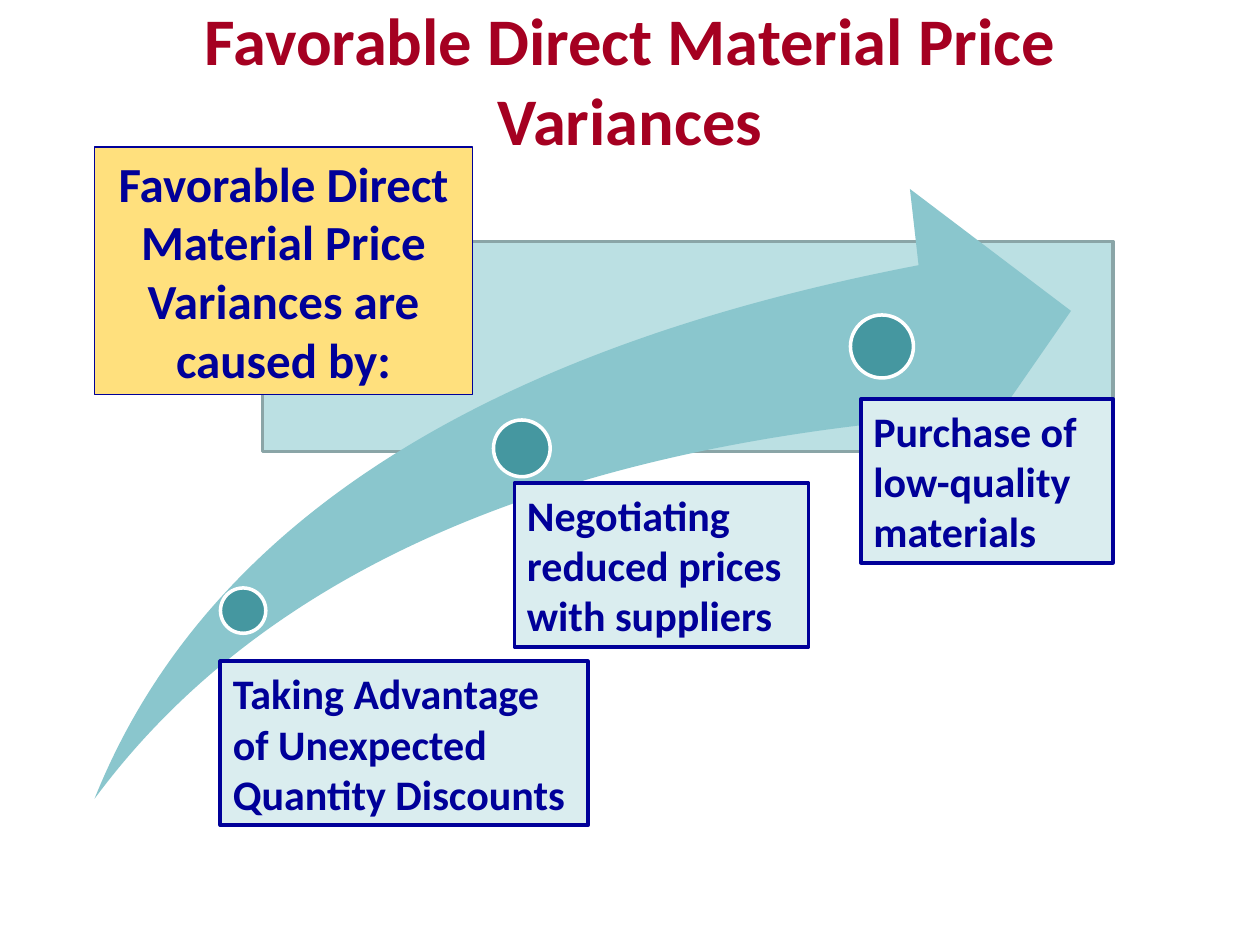
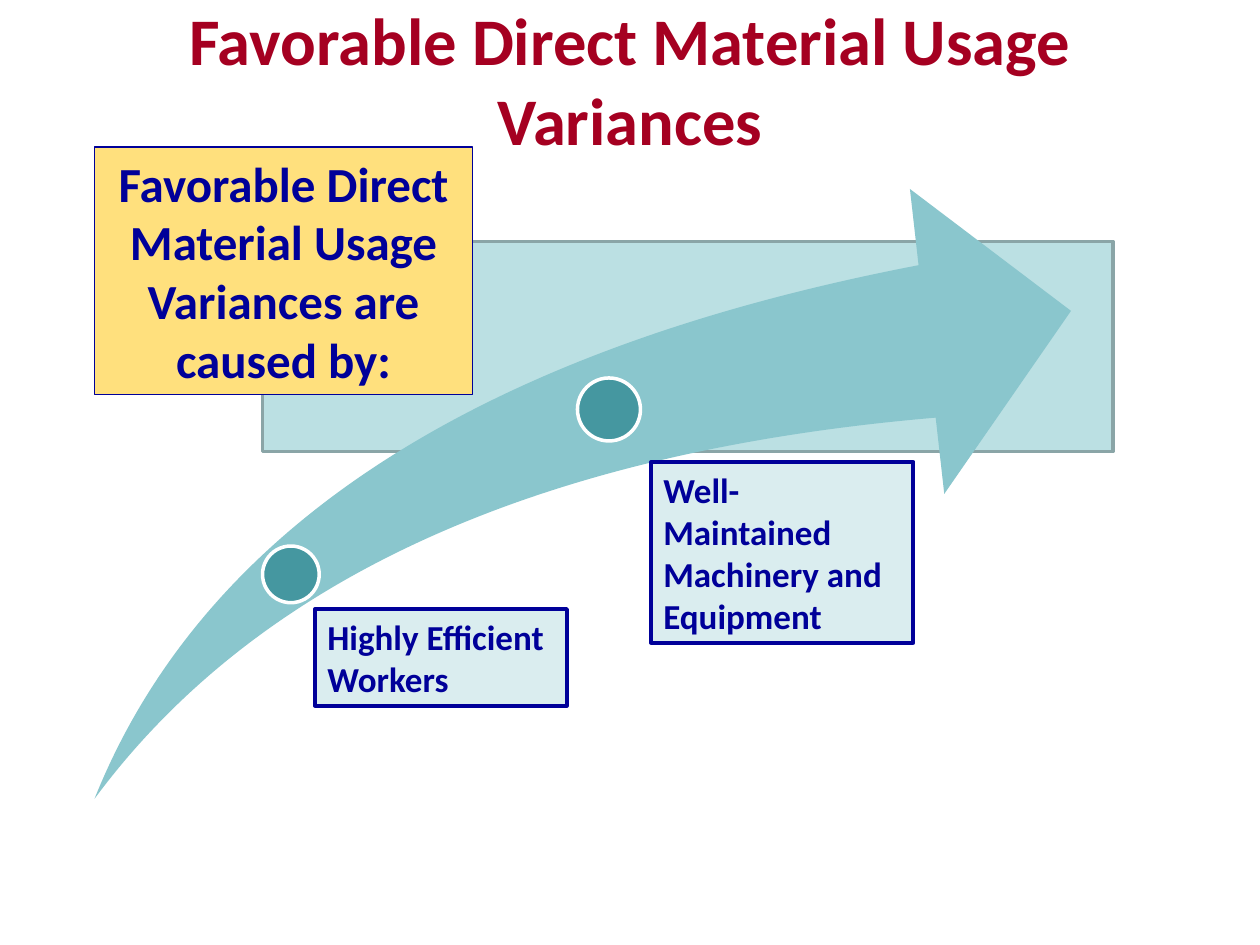
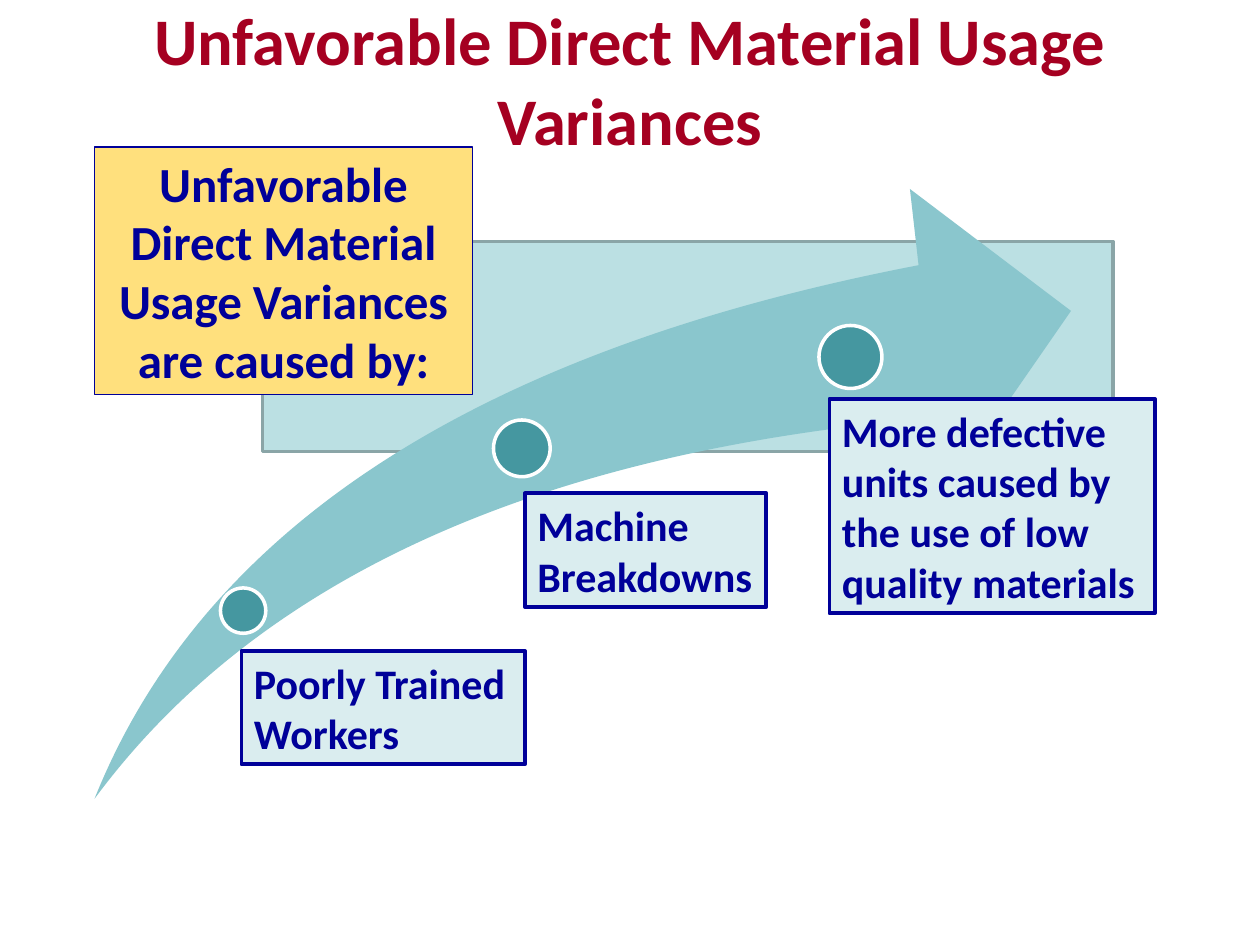
from pptx import Presentation
from pptx.dml.color import RGBColor
from pptx.enum.shapes import MSO_SHAPE
from pptx.enum.text import MSO_ANCHOR, MSO_AUTO_SIZE, PP_ALIGN
from pptx.util import Inches, Pt

RECT, OVAL, SWOOSH = MSO_SHAPE.RECTANGLE, MSO_SHAPE.OVAL, MSO_SHAPE.SWOOSH_ARROW
LEFT, CENTER = PP_ALIGN.LEFT, PP_ALIGN.CENTER
TOP, MIDDLE = MSO_ANCHOR.TOP, MSO_ANCHOR.MIDDLE
NO_FIT, GROW = MSO_AUTO_SIZE.NONE, MSO_AUTO_SIZE.SHAPE_TO_FIT_TEXT

COLORS = {
    "title": "A50021", "ink": "000099", "white": "FFFFFF",
    "band": "BBE0E3", "band edge": "8AA5A7", "arrow": "8AC6CD",
    "dot": "4597A0", "cause": "DAEDEF", "heading": "FFE07D",
}
FONT = "Calibri"
CELL = Inches(1) // 12  # the slide is 120 columns by 90 rows
TITLE_ONLY = 5
SMALL, MEDIUM, LARGE = 4.32, 5.4, 6  # dot diameters in columns


def color(name):
    return RGBColor.from_string(COLORS[name])


def cells(*lengths):
    return [round(length * CELL) for length in lengths]


class Deck:
    def __init__(self):
        self.presentation = Presentation()
        self.presentation.slide_width, self.presentation.slide_height = cells(120, 90)
        self.slide = None

    def add_slide(self, title):
        layout = self.presentation.slide_layouts[TITLE_ONLY]
        self.slide = self.presentation.slides.add_slide(layout)
        self.slide.background.fill.solid()
        self.slide.background.fill.fore_color.rgb = color("white")
        heading = self.slide.shapes.title
        heading.left, heading.top, heading.width, heading.height = cells(5, 0, 110, 15)
        self.set_text(heading, title, 38, "title", CENTER, MIDDLE, NO_FIT)

    def set_text(self, shape, text, size, ink, align, anchor, fit):
        frame = shape.text_frame
        frame.text = text
        frame.word_wrap = True
        frame.auto_size = fit
        frame.vertical_anchor = anchor
        for paragraph in frame.paragraphs:
            paragraph.alignment = align
            for run in paragraph.runs:
                run.font.name, run.font.size, run.font.bold = FONT, Pt(size), True
                run.font.color.rgb = color(ink)

    def shape(self, kind, box, fill, edge=None, edge_width=2):
        shape = self.slide.shapes.add_shape(kind, *cells(*box))
        shape.shadow.inherit = False
        shape.fill.solid()
        shape.fill.fore_color.rgb = color(fill)
        if edge:
            shape.line.color.rgb = color(edge)
            shape.line.width = Pt(edge_width)
        else:
            shape.line.fill.background()
        return shape

    def rising_arrow(self):
        self.shape(RECT, (25, 23, 81, 20), "band", "band edge")
        arrow = self.shape(SWOOSH, (9, 18, 93, 58.08), "arrow")
        arrow.adjustments[0] = arrow.adjustments[1] = 0.25

    def dot(self, column, row, diameter):
        self.shape(OVAL, (column, row, diameter, diameter), "dot", "white")

    def text_box(self, text, column, row, width, lines, size, fill, edge_width, align):
        """Add a bordered box whose height follows from its lines of text."""
        height = 1.2 + lines * size / 5
        box = self.shape(RECT, (column, row, width, height), fill, "ink", edge_width)
        self.set_text(box, text, size, "ink", align, TOP, GROW)

    def heading(self, text):
        self.text_box(text, 9, 14, 36, 4, 28, "heading", 0.75, CENTER)

    def cause(self, text, column, row, width, lines, size):
        self.text_box(text, column, row, width, lines, size, "cause", 2.25, LEFT)


# Per slide: variance name, text size, and causes as
# (dot: column, row, diameter), (box: text, column, row, width, lines)
VARIANCES = [
    ("Favorable Direct Material Price Variances", 24, [
        ((21, 56, SMALL),
         ("Taking Advantage of Unexpected Quantity Discounts", 21, 63, 35, 3)),
        ((47, 40, MEDIUM),
         ("Negotiating reduced prices with suppliers", 49, 46, 28, 3)),
        ((81, 30, LARGE),
         ("Purchase of low-quality materials", 82, 38, 24, 3)),
    ]),
    ("Favorable Direct Material Usage Variances", 20, [
        ((25, 52, MEDIUM),
         ("Highly Efficient Workers", 30, 58, 24, 2)),
        ((55, 36, LARGE),
         ("Well-Maintained Machinery and\nEquipment", 62, 44, 25, 4)),
    ]),
    ("Unfavorable Direct Material Usage Variances", 24, [
        ((21, 56, SMALL),
         ("Poorly Trained\nWorkers", 23, 62, 27, 2)),
        ((47, 40, MEDIUM),
         ("Machine Breakdowns", 50, 47, 23, 2)),
        ((78, 31, LARGE),
         ("More defective units caused by the use of low quality materials",
          79, 38, 31, 4)),
    ]),
]


def main():
    deck = Deck()
    for variance, size, causes in VARIANCES:
        deck.add_slide(variance)
        deck.rising_arrow()
        deck.heading(f"{variance} are caused by:")
        for dot, box in causes:
            deck.dot(*dot)
            deck.cause(*box, size)
    deck.presentation.save("out.pptx")


if __name__ == "__main__":
    main()
